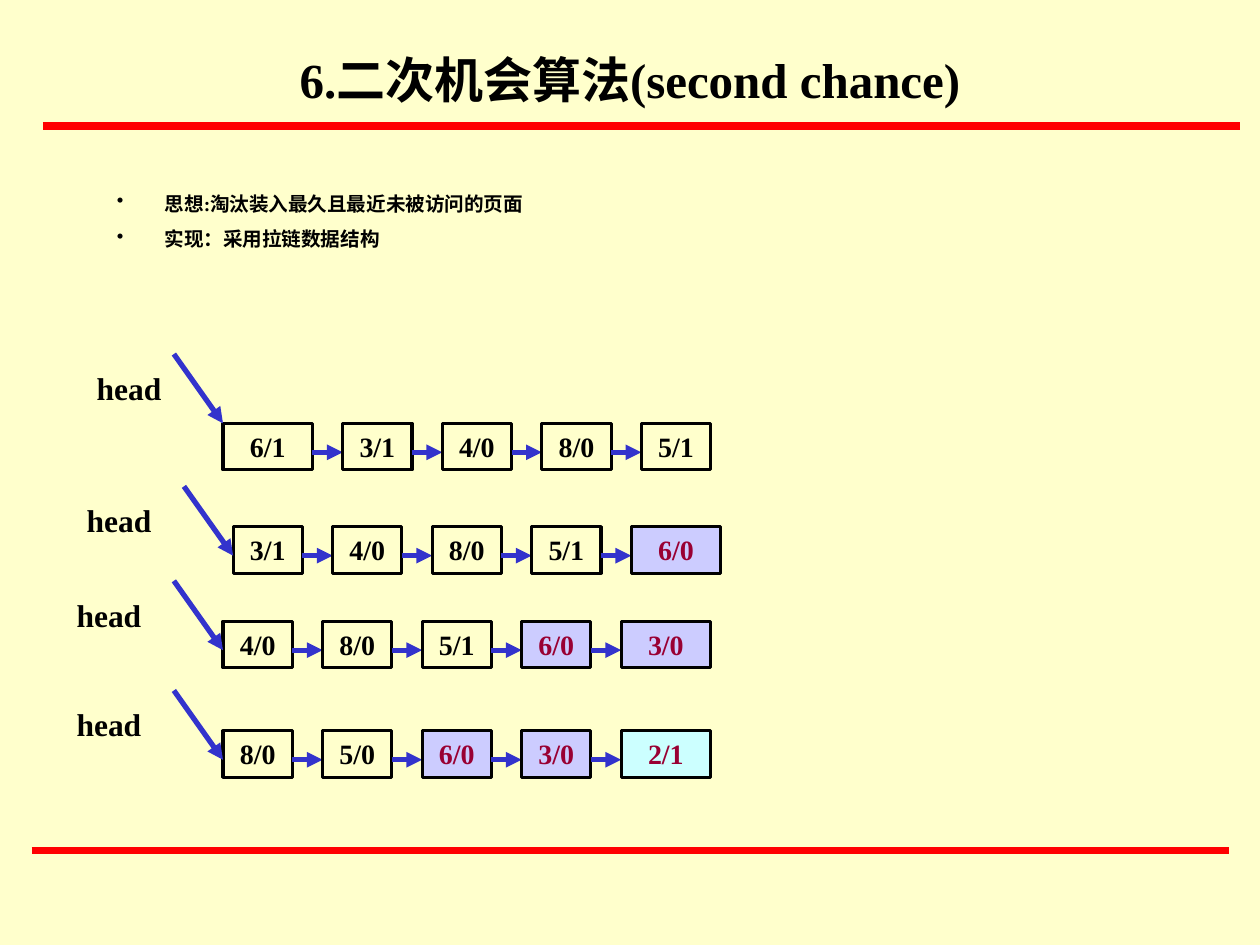
import pptx
import pptx.util
import pptx.dml.color
import pptx.enum.shapes
import pptx.enum.text
import pptx.oxml.ns
import lxml.etree
from pptx.util import Inches

FONT = "Times New Roman"
BLACK, RED, BLUE, MAROON = "000000", "FF0000", "3333CC", "990033"
LILAC, AQUA = "CCCCFF", "CCFFFF"
CREAM = "FFFFCC"

TITLE = "6.二次机会算法(second chance)"
POINTS = ["思想:淘汰装入最久且最近未被访问的页面", "实现：采用拉链数据结构"]
RULES = [(0.25, 6.75), (0.34, 1)]
RULE_LENGTH = 9.5

# Each page is (label, fill); "wide" is the index of the wide box.
QUEUES = [
    dict(left=1.77, top=3.36, head_left=0.59, tip=0, wide=0,
         pages=[("6/1", None), ("3/1", None), ("4/0", None), ("8/0", None), ("5/1", None)]),
    dict(left=1.85, top=4.18, head_left=0.51, tip=0.23, wide=4,
         pages=[("3/1", None), ("4/0", None), ("8/0", None), ("5/1", None), ("6/0", LILAC)]),
    dict(left=1.77, top=4.93, head_left=0.43, tip=0.23, wide=4,
         pages=[("4/0", None), ("8/0", None), ("5/1", None), ("6/0", LILAC), ("3/0", LILAC)]),
    dict(left=1.77, top=5.8, head_left=0.43, tip=0.23, wide=4,
         pages=[("8/0", None), ("5/0", None), ("6/0", LILAC), ("3/0", LILAC), ("2/1", AQUA)]),
]
BOX_WIDTH, WIDE_WIDTH, BOX_HEIGHT, GAP = 0.55, 0.71, 0.37, 0.24
LINK_DROP = 0.23
POINTER_DX, POINTER_DY = 0.39, 0.55
HEAD_RISE = 0.48


def rgb(value):
    """Turn a hex string into a colour."""
    return pptx.dml.color.RGBColor.from_string(value)


def add_child(parent, tag, **attributes):
    """Append a drawing element to parent."""
    return lxml.etree.SubElement(parent, pptx.oxml.ns.qn(tag), **attributes)


def style_text(frame, size, color=BLACK, centred=True):
    """Format every run in a text frame."""
    frame.word_wrap = True
    for paragraph in frame.paragraphs:
        if centred:
            paragraph.alignment = pptx.enum.text.PP_ALIGN.CENTER
        for run in paragraph.runs:
            run.font.name = FONT
            run.font.size = pptx.util.Pt(size)
            run.font.bold = True
            run.font.color.rgb = rgb(color)


def add_label(left, top, width, height, text, size):
    """Add a centred bold text box."""
    frame = slide.shapes.add_textbox(
        Inches(left), Inches(top), Inches(width), Inches(height)).text_frame
    frame.text = text
    style_text(frame, size)
    return frame


def add_line(x1, y1, x2, y2, color, width, arrow=True):
    """Add a straight line, with an arrowhead at its end if asked."""
    line = slide.shapes.add_connector(
        pptx.enum.shapes.MSO_CONNECTOR.STRAIGHT,
        Inches(x1), Inches(y1), Inches(x2), Inches(y2))
    line.line.color.rgb = rgb(color)
    line.line.width = pptx.util.Pt(width)
    if arrow:
        add_child(line.line._get_or_add_ln(), "a:tailEnd", type="triangle")
    add_child(line._element.spPr, "a:effectLst")


def add_page(left, top, width, text, fill):
    """Add one page box of a queue."""
    box = slide.shapes.add_shape(
        pptx.enum.shapes.MSO_SHAPE.RECTANGLE,
        Inches(left), Inches(top), Inches(width), Inches(BOX_HEIGHT))
    box.shadow.inherit = False
    box.line.color.rgb = rgb(BLACK)
    box.line.width = pptx.util.Pt(1.76)
    if fill:
        box.fill.solid()
        box.fill.fore_color.rgb = rgb(fill)
    else:
        box.fill.background()
    frame = box.text_frame
    frame.text = text
    frame.vertical_anchor = pptx.enum.text.MSO_ANCHOR.TOP
    style_text(frame, 16, MAROON if fill else BLACK)


def add_queue(left, top, head_left, tip, wide, pages):
    """Add a chain of linked pages with its head pointer."""
    x, link_y, tip_y = left, top + LINK_DROP, top + tip
    for index, (text, fill) in enumerate(pages):
        width = WIDE_WIDTH if index == wide else BOX_WIDTH
        if index:
            add_line(x - GAP, link_y, x, link_y, BLUE, 3)
        add_page(x, top, width, text, fill)
        x += width + GAP
    add_line(left - POINTER_DX, tip_y - POINTER_DY, left, tip_y, BLUE, 3)
    add_label(head_left, tip_y - HEAD_RISE, 0.87, 0.4, "head", 18)


def add_points():
    """Add the bulleted list."""
    frame = slide.shapes.add_textbox(
        Inches(0.83), Inches(1.47), Inches(8.5), Inches(1.18)).text_frame
    frame.text = "\n".join(POINTS)
    style_text(frame, 11.2, centred=False)
    for paragraph in frame.paragraphs:
        paragraph.space_before = pptx.util.Pt(7)
        properties = paragraph._p.get_or_add_pPr()
        properties.set("marL", str(Inches(0.38)))
        properties.set("indent", str(-Inches(0.38)))
        add_child(add_child(properties, "a:buClr"), "a:srgbClr", val=BLACK)
        add_child(properties, "a:buChar", char="•")


deck = pptx.Presentation()
deck.slide_width, deck.slide_height = Inches(10), Inches(7.5)
slide = deck.slides.add_slide(deck.slide_layouts[6])
slide.background.fill.solid()
slide.background.fill.fore_color.rgb = rgb(CREAM)

for rule_left, rule_y in RULES:
    add_line(rule_left, rule_y, rule_left + RULE_LENGTH, rule_y, RED, 4.51, arrow=False)
title = add_label(0.75, 0, 8.5, 1.25, TITLE, 28)
title.vertical_anchor = pptx.enum.text.MSO_ANCHOR.MIDDLE
add_points()
for queue in QUEUES:
    add_queue(**queue)

deck.save("out.pptx")
